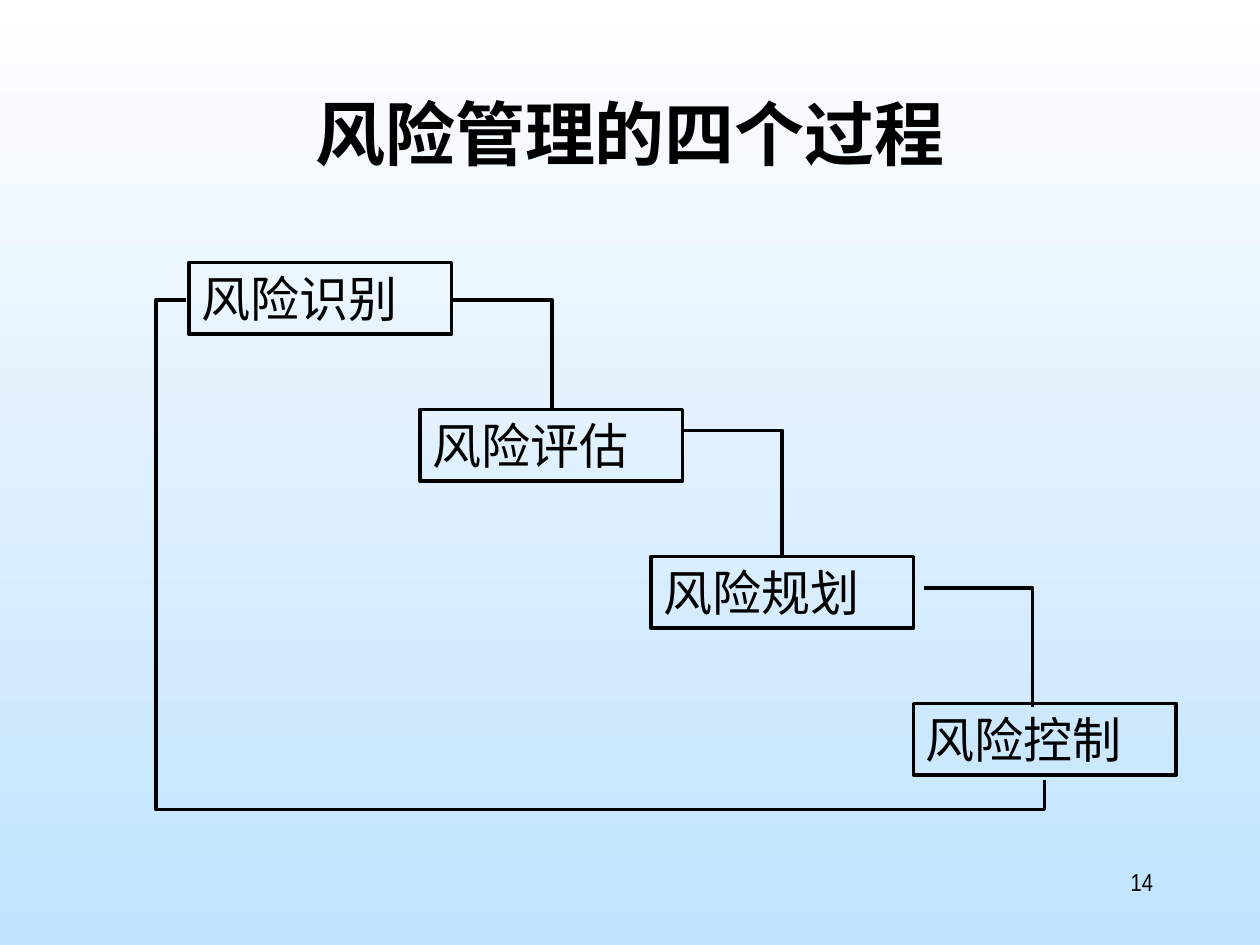
from lxml.etree import SubElement
from pptx import Presentation
from pptx.dml.color import RGBColor
from pptx.enum.shapes import MSO_CONNECTOR, MSO_SHAPE
from pptx.enum.text import MSO_ANCHOR, MSO_AUTO_SIZE, PP_ALIGN
from pptx.oxml.ns import qn
from pptx.util import Pt

COLORS = {"ink": "000000", "sky_top": "FEFEFE", "sky_bottom": "C0E3FE"}
HEADING_FONT, BODY_FONT = "Noto Sans CJK SC", "Arial Narrow"
LINE_WIDTH = 2
STEP_SIZE = (150, 41)
STEPS = ["风险识别", "风险评估", "风险规划", "风险控制"]
STEP_LEFTS = [108, 240, 372, 522]
STEP_TOP, STEP_PITCH = 150, 84
# Start and end of each elbow between neighbouring steps
LINKS = [
    (259, 171.5, 315.5, 233.5),
    (390, 246, 447, 317),
    (528, 336, 590, 404),
]
# Start and end of the unturned frame of the feedback line
FEEDBACK_FRAME = (214.5, 63.25, 488.75, 553.75)


def color(name):
    return RGBColor.from_string(COLORS[name])


def paint_background(slide):
    fill = slide.background.fill
    fill.gradient()
    fill.gradient_angle = 270
    for stop, name in zip(fill.gradient_stops, ("sky_top", "sky_bottom")):
        stop.color.rgb = color(name)
    for stop, position in zip(fill.gradient_stops, (0, 1)):
        stop.position = position


def write_text(shape, text, size, font_name, align=PP_ALIGN.LEFT, bold=False):
    frame = shape.text_frame
    frame.word_wrap = True
    frame.vertical_anchor = MSO_ANCHOR.TOP
    paragraph = frame.paragraphs[0]
    paragraph.text = text
    paragraph.alignment = align
    font = paragraph.font
    font.size, font.name, font.bold = Pt(size), font_name, bold
    font.color.rgb = color("ink")


def add_text(slide, box, *text_style):
    write_text(slide.shapes.add_textbox(*map(Pt, box)), *text_style)


def add_step(slide, box, text):
    shape = slide.shapes.add_shape(MSO_SHAPE.RECTANGLE, *map(Pt, box))
    shape.shadow.inherit = False
    shape.fill.background()
    shape.line.color.rgb = color("ink")
    shape.line.width = Pt(LINE_WIDTH)
    write_text(shape, text, 28, BODY_FONT)
    shape.text_frame.auto_size = MSO_AUTO_SIZE.SHAPE_TO_FIT_TEXT


def add_elbow(slide, ends, preset):
    connector = slide.shapes.add_connector(MSO_CONNECTOR.ELBOW, *map(Pt, ends))
    connector.line.color.rgb = color("ink")
    connector.line.width = Pt(LINE_WIDTH)
    properties = connector._element.spPr
    SubElement(properties, qn("a:effectLst"))
    properties.find(qn("a:prstGeom")).set("prst", preset)
    return properties


def add_feedback_line(slide, frame):
    """Lead from below the last step back to the left side of the first."""
    properties = add_elbow(slide, frame, "bentConnector4")
    transform = properties.find(qn("a:xfrm"))
    transform.set("rot", "16200000")
    transform.set("flipV", "1")
    guides = properties.find(qn("a:prstGeom")).find(qn("a:avLst"))
    for name, value in (("adj1", -6200), ("adj2", 103500)):
        SubElement(guides, qn("a:gd"), name=name, fmla=f"val {value}")


def add_staircase(slide):
    for index, (left, text) in enumerate(zip(STEP_LEFTS, STEPS)):
        add_step(slide, (left, STEP_TOP + index * STEP_PITCH, *STEP_SIZE), text)
    for ends in LINKS:
        add_elbow(slide, ends, "bentConnector2")
    add_feedback_line(slide, FEEDBACK_FRAME)


def main():
    presentation = Presentation()
    presentation.slide_width, presentation.slide_height = Pt(720), Pt(540)
    slide = presentation.slides.add_slide(presentation.slide_layouts[6])
    paint_background(slide)
    add_text(slide, (54, 48, 612, 90), "风险管理的四个过程",
             40, HEADING_FONT, PP_ALIGN.CENTER, True)
    add_staircase(slide)
    add_text(slide, (516, 492, 150, 36), "14", 14, BODY_FONT, PP_ALIGN.RIGHT)
    presentation.save("out.pptx")


if __name__ == "__main__":
    main()
